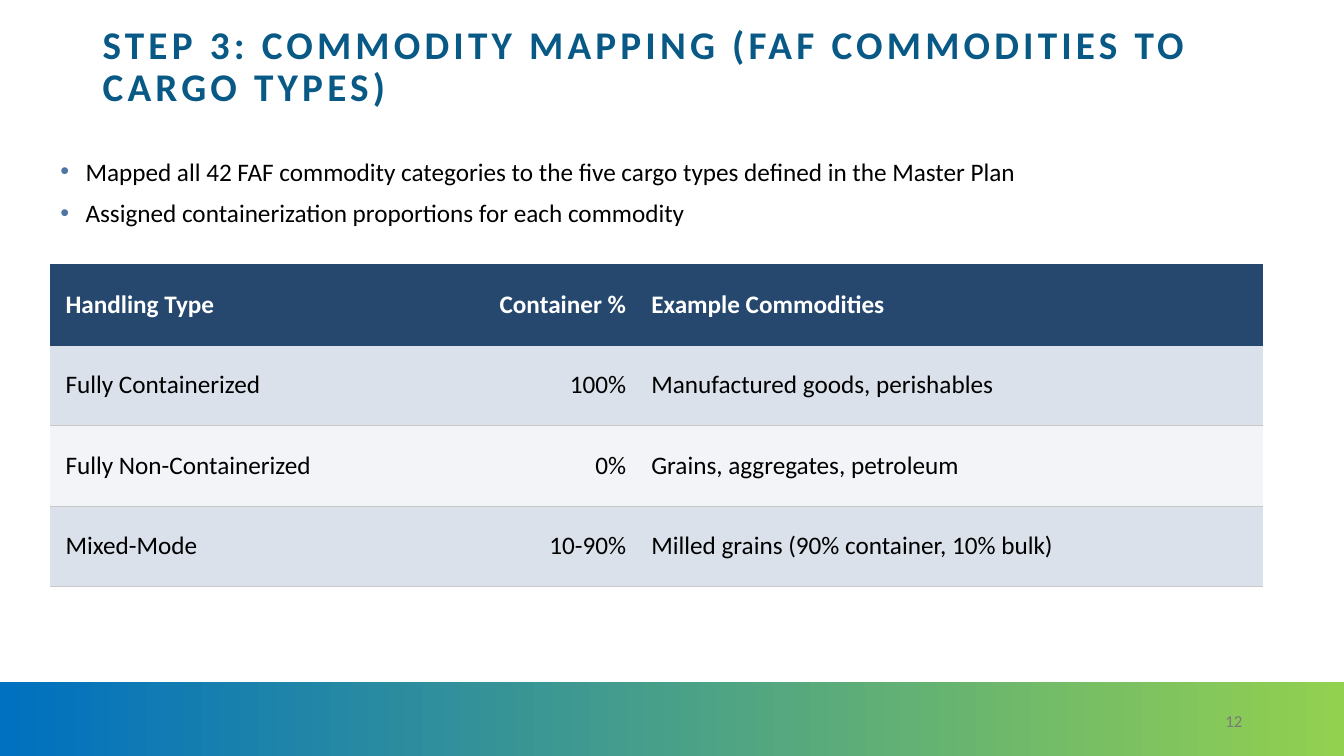
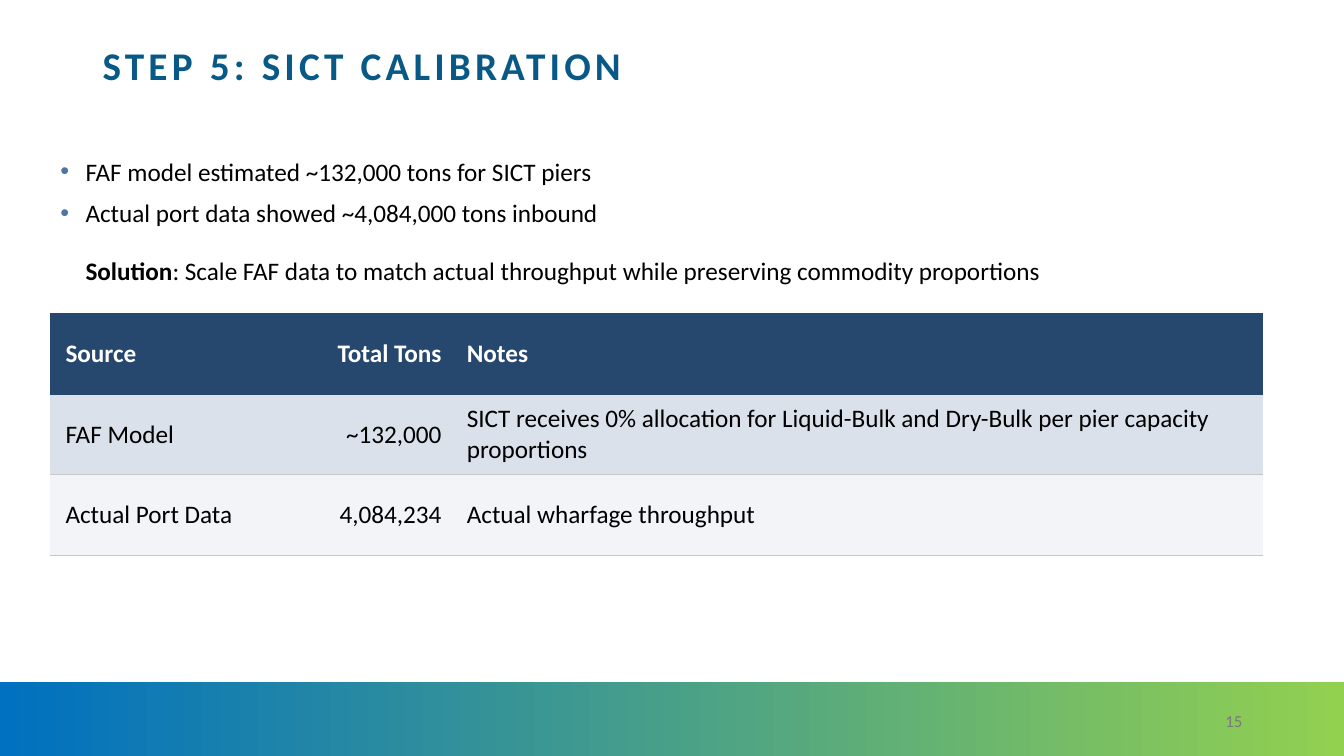
from lxml import etree
from pptx import Presentation
from pptx import util as u
from pptx.dml.color import RGBColor
from pptx.enum import shapes, text
from pptx.oxml.ns import qn

WIDTH, HEIGHT = 13.33, 7.5
MARGIN = 0.5
FONT = "Calibri"
BODY_SIZE = 18
COLORS = {
    "title": "085986", "text": "000000", "bullet": "4D76A4", "number": "797979",
    "header": "26486E", "header_text": "FFFFFF", "odd_row": "DAE1EB",
    "even_row": "F2F4F7", "rule": "C8C8C8",
    "band_start": "0070C0", "band_end": "92D050",
}
ROW_HEIGHT = 0.8
NO_STYLE = "{2D5ABB26-0587-4C30-8999-92F81FD0307C}"
LEFT, RIGHT = text.PP_ALIGN.LEFT, text.PP_ALIGN.RIGHT
COLUMN_ALIGNS = (LEFT, RIGHT, LEFT)

SLIDES = [
    {
        "title": "STEP 3: COMMODITY MAPPING (FAF COMMODITIES TO CARGO TYPES)",
        "number": "12",
        "bullets": [
            "Mapped all 42 FAF commodity categories to the five cargo types defined in the Master Plan",
            "Assigned containerization proportions for each commodity",
        ],
        "solution": None,
        "body_height": 0.97,
        "table_top": 2.62,
        "columns": (3.81, 2, 6.22),
        "rows": [
            ("Handling Type", "Container %", "Example Commodities"),
            ("Fully Containerized", "100%", "Manufactured goods, perishables"),
            ("Fully Non-Containerized", "0%", "Grains, aggregates, petroleum"),
            ("Mixed-Mode", "10-90%", "Milled grains (90% container, 10% bulk)"),
        ],
    },
    {
        "title": "STEP 5: SICT CALIBRATION",
        "number": "15",
        "bullets": [
            "FAF model estimated ~132,000 tons for SICT piers",
            "Actual port data showed ~4,084,000 tons inbound",
        ],
        "solution": ("Solution",
                     ": Scale FAF data to match actual throughput while preserving commodity proportions"),
        "body_height": 1.46,
        "table_top": 3.11,
        "columns": (2.38, 1.6, 8.05),
        "rows": [
            ("Source", "Total Tons", "Notes"),
            ("FAF Model", "~132,000",
             "SICT receives 0% allocation for Liquid-Bulk and Dry-Bulk per pier capacity proportions"),
            ("Actual Port Data", "4,084,234", "Actual wharfage throughput"),
        ],
    },
]


def rgb(name):
    return RGBColor.from_string(COLORS[name])


def add_run(paragraph, words, size=BODY_SIZE, color="text", bold=False):
    run = paragraph.add_run()
    run.text = words
    run.font.name, run.font.size, run.font.bold = FONT, u.Pt(size), bold
    run.font.color.rgb = rgb(color)
    return run


def add_frame(slide, left, top, width, height, anchor=text.MSO_ANCHOR.MIDDLE):
    box = slide.shapes.add_textbox(*map(u.Inches, (left, top, width, height)))
    frame = box.text_frame
    frame.word_wrap = True
    frame.vertical_anchor = anchor
    return frame


def add_band(slide):
    top = 6.77
    band = slide.shapes.add_shape(
        shapes.MSO_SHAPE.RECTANGLE, 0, u.Inches(top), u.Inches(WIDTH), u.Inches(HEIGHT - top))
    band.shadow.inherit = False
    band.line.fill.background()
    band.fill.gradient()
    band.fill.gradient_angle = 0
    for stop, position, name in zip(band.fill.gradient_stops, (0, 1), ("band_start", "band_end")):
        stop.position = position
        stop.color.rgb = rgb(name)


def add_title(slide, words):
    paragraph = add_frame(slide, 0.92, 0.4, 11.5, 0.54).paragraphs[0]
    paragraph.line_spacing = 0.9
    run = add_run(paragraph, words, 28, "title", True)
    run.font._element.set("spc", "300")


def add_number(slide, number):
    paragraph = add_frame(slide, 9.42, 6.95, 3, 0.4).paragraphs[0]
    paragraph.alignment = RIGHT
    add_run(paragraph, number, 12, "number")


def indent(paragraph, hanging):
    """Indent the paragraph; a hanging one starts with a bullet."""
    paragraph.space_after = u.Pt(8)
    props = paragraph._p.get_or_add_pPr()
    step = u.Inches(0.25)
    props.set("marL", str(step))
    props.set("indent", str(-step if hanging else 0))
    if hanging:
        color = etree.SubElement(props, qn("a:buClr"))
        etree.SubElement(color, qn("a:srgbClr"), val=COLORS["bullet"])
        etree.SubElement(props, qn("a:buFont"), typeface="Arial")
        etree.SubElement(props, qn("a:buChar"), char="•")
    else:
        etree.SubElement(props, qn("a:buNone"))


def add_body(slide, bullets, solution, height):
    frame = add_frame(slide, MARGIN, 1.5, WIDTH - 2 * MARGIN, height, text.MSO_ANCHOR.TOP)
    frame.auto_size = text.MSO_AUTO_SIZE.SHAPE_TO_FIT_TEXT
    for i, words in enumerate(bullets):
        paragraph = frame.add_paragraph() if i else frame.paragraphs[0]
        indent(paragraph, True)
        add_run(paragraph, words)
    if solution:
        label, explanation = solution
        paragraph = frame.add_paragraph()
        paragraph.space_before = u.Pt(12)
        indent(paragraph, False)
        add_run(paragraph, label, bold=True)
        add_run(paragraph, explanation)


def set_borders(cell, borders):
    """Draw (side tag, colour name, points) borders, given in schema order."""
    props = cell._tc.get_or_add_tcPr()
    for i, (side, name, points) in enumerate(borders):
        line = etree.Element(qn(side), w=str(u.Pt(points)))
        fill = etree.SubElement(line, qn("a:solidFill"))
        etree.SubElement(fill, qn("a:srgbClr"), val=COLORS[name])
        props.insert(i, line)


def row_style(row, last):
    """Return fill, text colour and borders of a table row."""
    if row == 0:
        return "header", "header_text", [("a:lnB", "header", 1.5)]
    top = ("a:lnT", "header", 1.5) if row == 1 else ("a:lnT", "rule", 0.5)
    bottom = ("a:lnB", "rule", 0.75 if row == last else 0.5)
    return ("odd_row" if row % 2 else "even_row"), "text", [top, bottom]


def add_grid(slide, top, columns, rows):
    table = slide.shapes.add_table(
        len(rows), len(columns), u.Inches(MARGIN), u.Inches(top),
        u.Inches(sum(columns)), u.Inches(ROW_HEIGHT * len(rows))).table
    table.horz_banding = False
    table._tbl.tblPr.find(qn("a:tableStyleId")).text = NO_STYLE
    for column, width in zip(table.columns, columns):
        column.width = u.Inches(width)
    for r, entries in enumerate(rows):
        table.rows[r].height = u.Inches(ROW_HEIGHT)
        fill, color, borders = row_style(r, len(rows) - 1)
        for c, (words, align) in enumerate(zip(entries, COLUMN_ALIGNS)):
            cell = table.cell(r, c)
            cell.fill.solid()
            cell.fill.fore_color.rgb = rgb(fill)
            cell.vertical_anchor = text.MSO_ANCHOR.MIDDLE
            cell.margin_left, cell.margin_right = u.Inches(0.15), u.Inches(0.1)
            cell.margin_top = cell.margin_bottom = u.Inches(0.06)
            paragraph = cell.text_frame.paragraphs[0]
            paragraph.alignment = align
            add_run(paragraph, words, color=color, bold=r == 0)
            set_borders(cell, borders)


def main():
    deck = Presentation()
    deck.slide_width, deck.slide_height = u.Inches(WIDTH), u.Inches(HEIGHT)
    for content in SLIDES:
        slide = deck.slides.add_slide(deck.slide_layouts[6])
        add_band(slide)
        add_title(slide, content["title"])
        add_body(slide, content["bullets"], content["solution"], content["body_height"])
        add_grid(slide, content["table_top"], content["columns"], content["rows"])
        add_number(slide, content["number"])
    deck.save("out.pptx")


if __name__ == "__main__":
    main()
